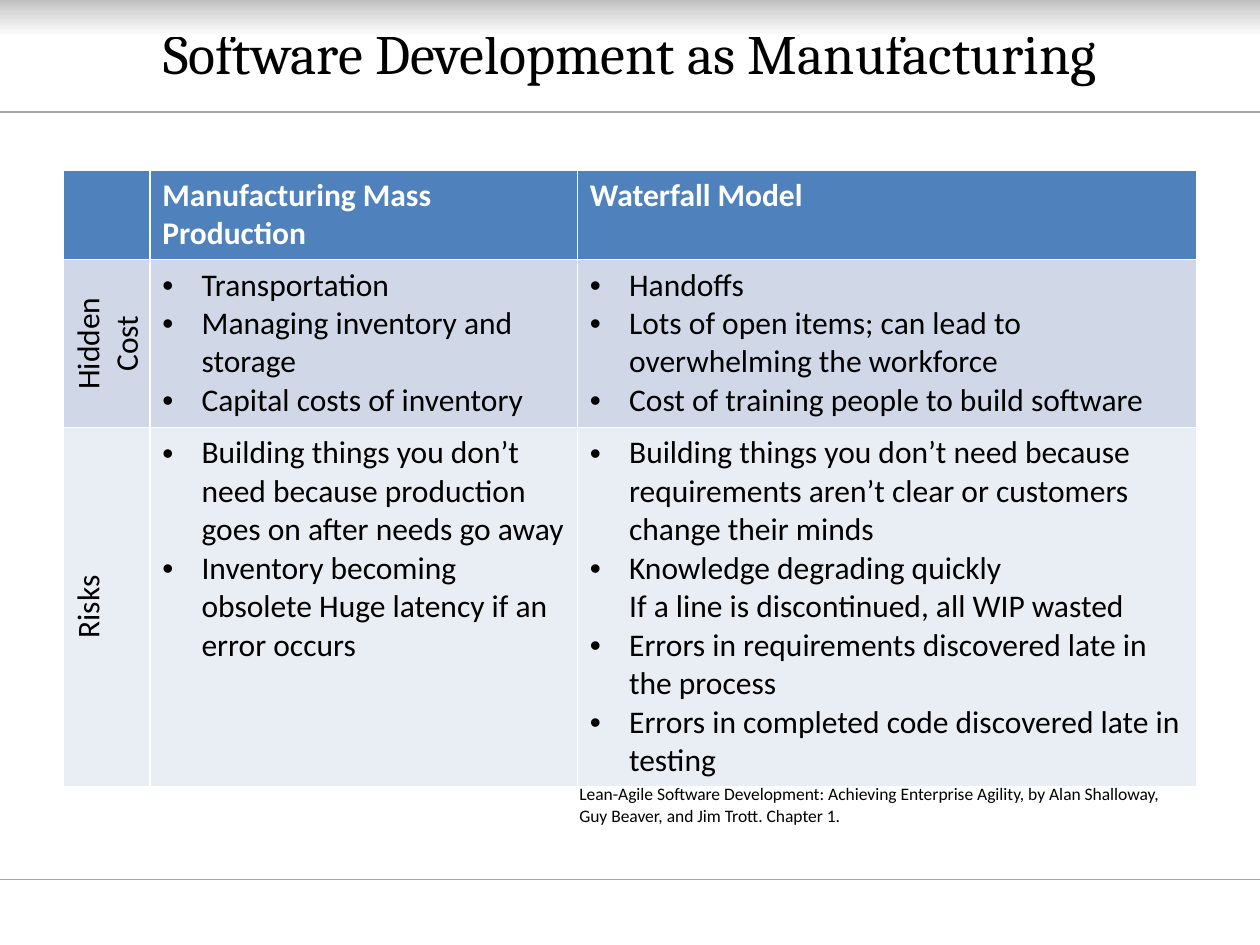
from copy import deepcopy

from lxml.etree import SubElement
from pptx import Presentation
from pptx.dml.color import RGBColor
from pptx.enum.shapes import MSO_CONNECTOR as Connector, MSO_SHAPE as Shape
from pptx.enum.text import MSO_ANCHOR as Anchor, PP_ALIGN as Align
from pptx.oxml.ns import qn
from pptx.util import Cm, Pt

COLORS = {
    "text": "000000", "white": "FFFFFF", "rule": "A6A6A6",
    "band_top": "BFBFBF", "band_middle": "D9D9D9",
    "header": "4F81BD", "costs": "D0D8E8", "risks": "E9EDF4",
}
PAGE_WIDTH, PAGE_HEIGHT = Cm(25.4), Cm(19.05)
COLUMN_WIDTHS = (1.75, 8.62, 12.48)
ROW_HEIGHT = Cm(1.04)
HEADINGS = ("Manufacturing Mass Production", "Waterfall Model")
ROWS = (
    ("Hidden Cost", "costs",
     ("Transportation",
      "Managing inventory and storage",
      "Capital costs of inventory"),
     ("Handoffs",
      "Lots of open items; can lead to overwhelming the workforce",
      "Cost of training people to build software")),
    ("Risks", "risks",
     ("Building things you don’t need because production goes on after needs go away",
      "Inventory becoming obsolete Huge latency if an error occurs"),
     ("Building things you don’t need because requirements aren’t clear or customers change their minds",
      "Knowledge degrading quickly\vIf a line is discontinued, all WIP wasted",
      "Errors in requirements discovered late in the process",
      "Errors in completed code discovered late in testing")),
)
SOURCE = ("Lean-Agile Software Development: Achieving Enterprise Agility, "
          "by Alan Shalloway, Guy Beaver, and Jim Trott. Chapter 1.")


def rgb(name):
    return RGBColor.from_string(COLORS[name])


def style(para, size, color="text", name="Calibri", bold=False):
    para.font.size = Pt(size)
    para.font.name = name
    para.font.bold = bold
    para.font.color.rgb = rgb(color)


def add_top_band(page):
    band = page.shapes.add_shape(Shape.RECTANGLE, 0, 0, PAGE_WIDTH, Cm(0.74))
    band.shadow.inherit = False
    band.line.fill.background()
    band.fill.gradient()
    band.fill.gradient_angle = 270
    stop_list = band.fill._fill._gradFill.gsLst
    stop_list.insert(1, deepcopy(stop_list[0]))
    stops = (("band_top", 0), ("band_middle", 0.34), ("white", 1))
    for stop, (color, position) in zip(band.fill.gradient_stops, stops):
        stop.color.rgb = rgb(color)
        stop.position = position


def add_rule(page, top):
    rule = page.shapes.add_connector(Connector.STRAIGHT, 0, top, PAGE_WIDTH, top)
    rule.line.color.rgb = rgb("rule")
    rule.line.width = Pt(0.75)
    SubElement(rule._element.spPr, qn("a:effectLst"))


def add_title(page, text):
    title = page.shapes.title
    title.left, title.top, title.width, title.height = Cm(1.27), Cm(0.08), Cm(22.86), Cm(1.96)
    title.text_frame.text = text
    title.text_frame.vertical_anchor = Anchor.MIDDLE
    para = title.text_frame.paragraphs[0]
    para.alignment = Align.CENTER
    style(para, 32, name="Cambria")


def fill_cell(cell, color):
    cell.fill.solid()
    cell.fill.fore_color.rgb = rgb(color)


def write_heading(cell, text):
    cell.text = text
    style(cell.text_frame.paragraphs[0], 18, "white", bold=True)


def write_row_label(cell, text):
    """Write a centred label that reads from bottom to top."""
    cell.text = text
    cell.vertical_anchor = Anchor.MIDDLE
    cell._tc.get_or_add_tcPr().set("vert", "vert270")
    para = cell.text_frame.paragraphs[0]
    para.alignment = Align.CENTER
    style(para, 18)


def write_bullets(cell, items):
    frame = cell.text_frame
    for index, item in enumerate(items):
        para = frame.add_paragraph() if index else frame.paragraphs[0]
        para.text = item
        properties = para._p.get_or_add_pPr()
        properties.set("marL", str(Cm(0.79)))
        properties.set("indent", str(-Cm(0.79)))
        SubElement(properties, qn("a:buFont"), typeface="Arial")
        SubElement(properties, qn("a:buChar"), char="•")
        style(para, 18)


def add_comparison(page):
    holder = page.shapes.add_table(len(ROWS) + 1, len(COLUMN_WIDTHS), Cm(1.27), Cm(3.43),
                                   Cm(sum(COLUMN_WIDTHS)), Cm(12.19))
    table = holder.table
    for column, width in zip(table.columns, COLUMN_WIDTHS):
        column.width = Cm(width)
    for row in table.rows:
        row.height = ROW_HEIGHT
    holder.height = Cm(12.19)

    for row, color in zip(table.rows, ("header", *(entry[1] for entry in ROWS))):
        for cell in row.cells:
            fill_cell(cell, color)
    for column, heading in enumerate(HEADINGS, 1):
        write_heading(table.cell(0, column), heading)
    for row, (label, _, *lists) in enumerate(ROWS, 1):
        write_row_label(table.cell(row, 0), label)
        for column, items in enumerate(lists, 1):
            write_bullets(table.cell(row, column), items)


def add_source(page, text):
    box = page.shapes.add_textbox(Cm(11.43), Cm(15.67), Cm(12.7), Cm(1.11))
    box.text_frame.word_wrap = True
    box.text_frame.text = text
    style(box.text_frame.paragraphs[0], 10)


def main():
    deck = Presentation()
    deck.slide_width, deck.slide_height = PAGE_WIDTH, PAGE_HEIGHT
    page = deck.slides.add_slide(deck.slide_layouts[5])
    add_top_band(page)
    for top in (17.73, 2.26):
        add_rule(page, Cm(top))
    add_title(page, "Software Development as Manufacturing")
    add_comparison(page)
    add_source(page, SOURCE)
    deck.save("out.pptx")


if __name__ == "__main__":
    main()
